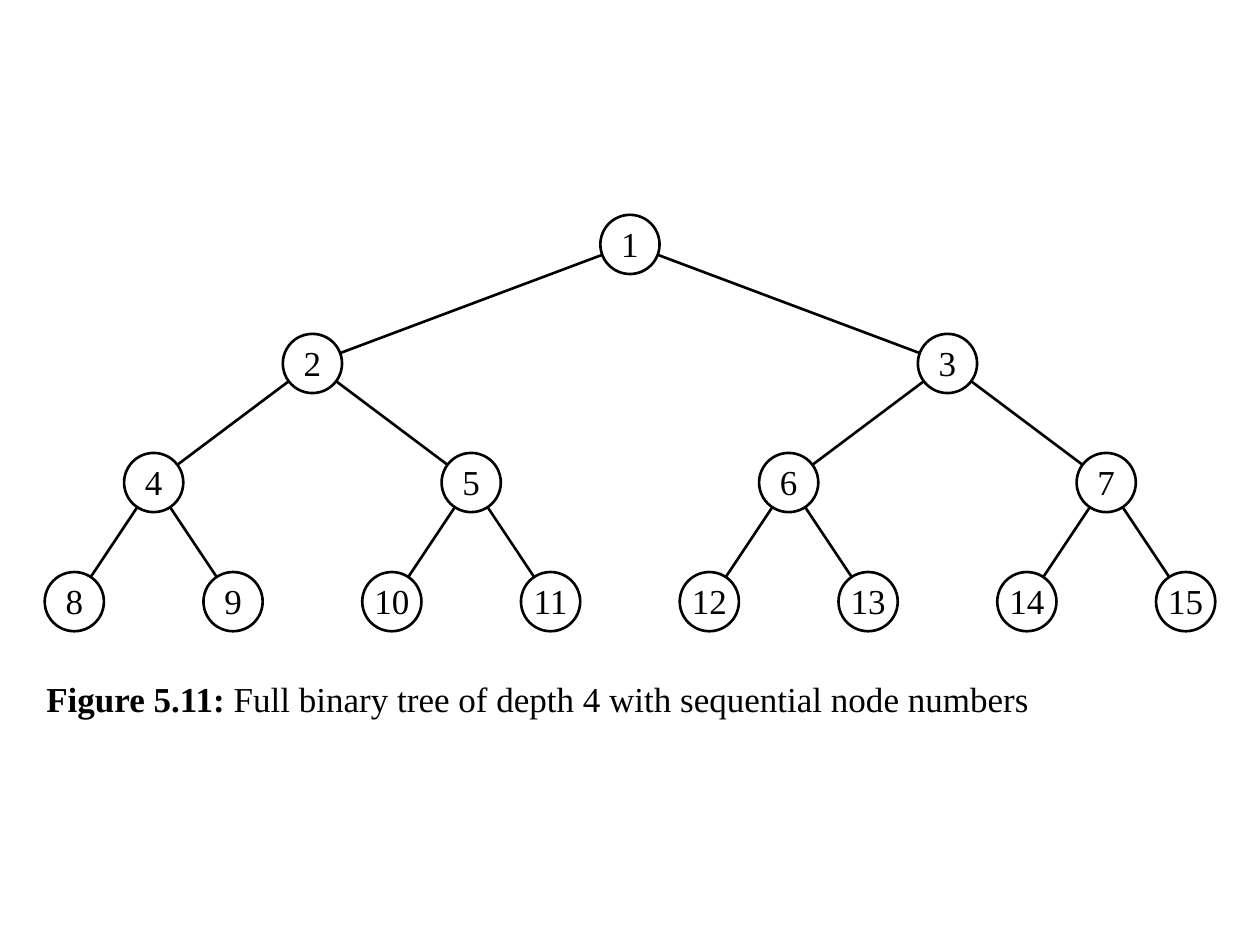
from lxml import etree
from pptx import Presentation
from pptx.dml.color import RGBColor
from pptx.enum import shapes, text
from pptx.oxml.ns import qn
from pptx.util import Inches, Pt

BLACK = RGBColor(0, 0, 0)
WHITE = RGBColor(255, 255, 255)
FONT = "Times New Roman"
LINE_WIDTH = Pt(1.5)

DEPTH = 4
ROOT_X, ROOT_Y = 5, 1.94
TREE_WIDTH = 10.08
LEVEL_GAP = 0.945
DIAMETER = 0.47


def node_center(number):
    """Nodes are numbered level by level, each level spread evenly."""
    level = number.bit_length() - 1
    count = 2 ** level
    offset = number - count - (count - 1) / 2
    return ROOT_X + offset * TREE_WIDTH / count, ROOT_Y + level * LEVEL_GAP


def add_span(para, words, bold=False):
    span = para.add_run()
    span.text = words
    span.font.name = FONT
    span.font.size = Pt(20)
    span.font.bold = bold
    span.font.color.rgb = BLACK


def add_edge(page, parent, child):
    ends = [Inches(v) for v in node_center(parent) + node_center(child)]
    edge = page.shapes.add_connector(shapes.MSO_CONNECTOR.STRAIGHT, *ends)
    edge.line.color.rgb = BLACK
    edge.line.width = LINE_WIDTH
    etree.SubElement(edge._element.spPr, qn("a:effectLst"))


def add_node(page, number):
    x, y = node_center(number)
    node = page.shapes.add_shape(
        shapes.MSO_SHAPE.OVAL,
        Inches(x - DIAMETER / 2), Inches(y - DIAMETER / 2),
        Inches(DIAMETER), Inches(DIAMETER))
    node.shadow.inherit = False
    node.fill.solid()
    node.fill.fore_color.rgb = WHITE
    node.line.color.rgb = BLACK
    node.line.width = LINE_WIDTH
    frame = node.text_frame
    frame.word_wrap = True
    frame.margin_left = frame.margin_right = frame.margin_top = 0
    frame.margin_bottom = Inches(0.01)
    frame.vertical_anchor = text.MSO_ANCHOR.BOTTOM
    para = frame.paragraphs[0]
    para.alignment = text.PP_ALIGN.CENTER
    add_span(para, str(number))


def add_caption(page):
    box = page.shapes.add_textbox(
        Inches(0.27), Inches(5.33), Inches(8.03), Inches(0.47))
    box.text_frame.word_wrap = True
    para = box.text_frame.paragraphs[0]
    para.space_before = Pt(4)
    add_span(para, "Figure 5.11:", bold=True)
    add_span(para, " Full binary tree of depth 4 with sequential node numbers")


def main():
    deck = Presentation()
    deck.slide_width, deck.slide_height = Inches(10), Inches(7.5)
    page = deck.slides.add_slide(deck.slide_layouts[6])

    add_caption(page)

    # Edges first, so that the nodes cover their ends
    node_count = 2 ** DEPTH - 1
    for child in range(2, node_count + 1):
        add_edge(page, child // 2, child)

    # Nodes
    for number in range(1, node_count + 1):
        add_node(page, number)

    deck.save("out.pptx")


if __name__ == "__main__":
    main()
